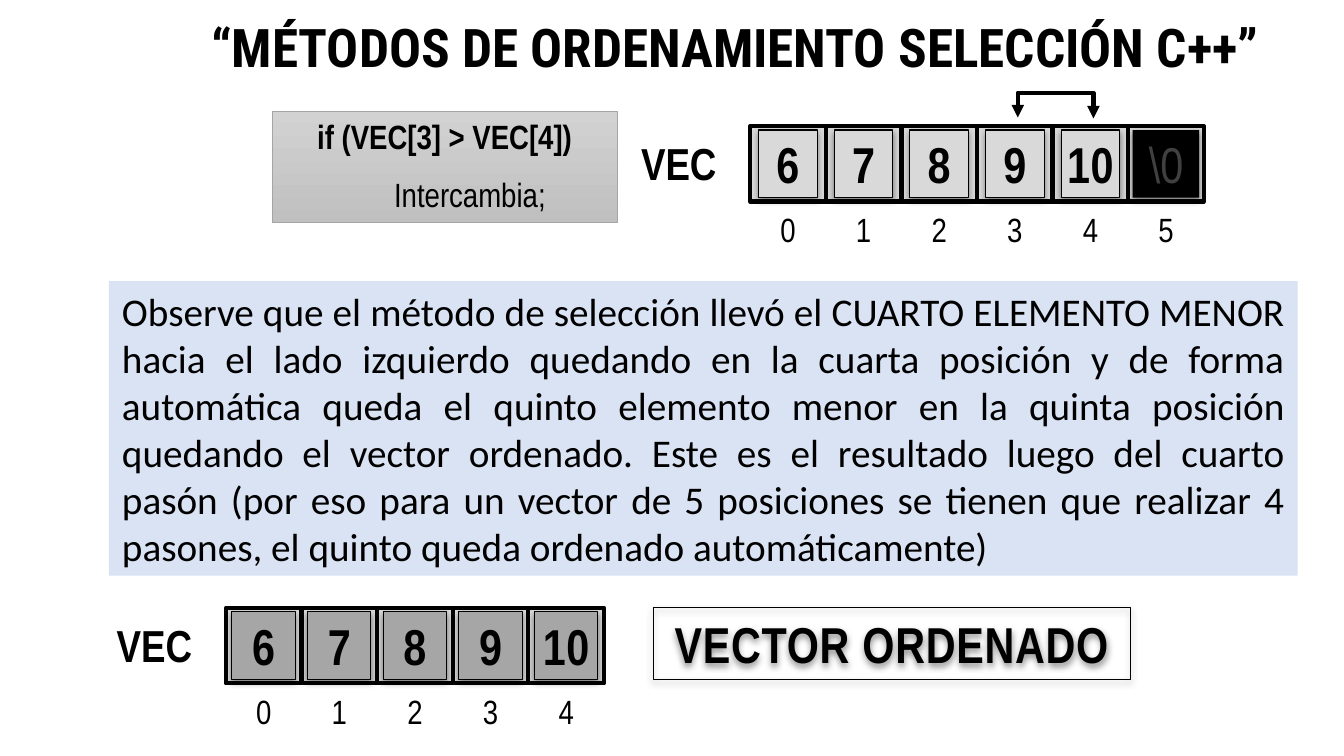
from lxml import etree
from pptx import Presentation
from pptx.dml.color import RGBColor
from pptx.enum.shapes import MSO_CONNECTOR, MSO_SHAPE
from pptx.enum.text import MSO_ANCHOR, PP_ALIGN
from pptx.oxml.ns import qn
from pptx.util import Inches, Pt

RECT, ELBOW = MSO_SHAPE.RECTANGLE, MSO_CONNECTOR.ELBOW
MIDDLE, TOP = MSO_ANCHOR.MIDDLE, MSO_ANCHOR.TOP
LEFT, CENTER, JUSTIFY = PP_ALIGN.LEFT, PP_ALIGN.CENTER, PP_ALIGN.JUSTIFY

BLACK = RGBColor(0x00, 0x00, 0x00)
CHARCOAL = RGBColor(0x40, 0x40, 0x40)
MID_GREY = RGBColor(0xA5, 0xA5, 0xA5)
SORTED_GREY = RGBColor(0xA6, 0xA6, 0xA6)
LIGHT_GREY = RGBColor(0xD9, 0xD9, 0xD9)
GRADIENT = [RGBColor(0xD2, 0xD2, 0xD2), RGBColor(0xC0, 0xC0, 0xC0)]
PALE_BLUE = RGBColor(0xDA, 0xE3, 0xF3)

TITLE = "“MÉTODOS DE ORDENAMIENTO SELECCIÓN C++”"
CODE = ["if (VEC[3] > VEC[4])", "\tIntercambia;"]
EXPLANATION = (
    "Observe que el método de selección llevó el CUARTO ELEMENTO MENOR hacia el lado "
    "izquierdo quedando en la cuarta posición y de forma automática queda el quinto "
    "elemento menor en la quinta posición quedando el vector ordenado. Este es el "
    "resultado luego del cuarto pasón (por eso para un vector de 5 posiciones se tienen "
    "que realizar 4 pasones, el quinto queda ordenado automáticamente)"
)
RESULT = "VECTOR ORDENADO"
END_MARK = r"\0"
VECTORS = [
    {"x": 7.44, "y": 1.25, "values": ["6", "7", "8", "9", "10", END_MARK],
     "tile_w": 0.58, "fill": LIGHT_GREY},
    {"x": 2.24, "y": 6.03, "values": ["6", "7", "8", "9", "10"],
     "tile_w": 0.63, "fill": SORTED_GREY},
]
CELL = 0.75
TILE_H = 0.67

NARROW = {"name": "Arial Narrow", "size": Pt(24), "bold": False}
LABEL = {"name": "Arial Narrow", "size": Pt(32), "bold": True}
VALUE = {"name": "Arial Narrow", "size": Pt(36), "bold": True}

prs = Presentation()
prs.slide_width, prs.slide_height = Inches(13.33), Inches(7.5)
s = prs.slides.add_slide(prs.slide_layouts[5])


def write(p, text, fmt, color=BLACK, align=CENTER, spacing=None):
    p.alignment = align
    r = p.add_run()
    r.text = text
    for key, value in fmt.items():
        setattr(r.font, key, value)
    r.font.color.rgb = color
    if spacing:
        r.font._element.set("spc", str(spacing))


def add_box(x, y, w, h, fill=None, line=None, line_width=0.75):
    sp = s.shapes.add_shape(RECT, Inches(x), Inches(y), Inches(w), Inches(h))
    sp.shadow.inherit = False
    if fill is None:
        sp.fill.background()
    else:
        sp.fill.solid()
        sp.fill.fore_color.rgb = fill
    if line is None:
        sp.line.fill.background()
    else:
        sp.line.color.rgb = line
        sp.line.width = Pt(line_width)
    sp.text_frame.vertical_anchor = MIDDLE
    return sp


def add_shadow(sp):
    effects = sp._element.spPr.find(qn("a:effectLst"))
    shadow = etree.SubElement(effects, qn("a:outerShdw"), blurRad=str(Pt(5)),
                              dist=str(Pt(2)), dir="5400000", algn="t", rotWithShape="0")
    color = etree.SubElement(shadow, qn("a:srgbClr"), val="000000")
    etree.SubElement(color, qn("a:alpha"), val="43000")


def add_plate(x, y, w, h, text, fill=None, line=BLACK, color=BLACK, fmt=VALUE, spacing=50):
    """Draw a shadowed rectangle around one large centred text."""
    sp = add_box(x, y, w, h, fill, line)
    add_shadow(sp)
    sp.text_frame.word_wrap = False
    write(sp.text_frame.paragraphs[0], text, fmt, color, spacing=spacing)


def add_label(x, y, w, h, text, fmt):
    tf = s.shapes.add_textbox(Inches(x), Inches(y), Inches(w), Inches(h)).text_frame
    tf.word_wrap = True
    write(tf.paragraphs[0], text, fmt, align=LEFT)
    return tf


def add_indices(x, y, count):
    """Write the cell numbers on tab stops centred under the cells."""
    text = "".join(f"\t{i}" for i in range(count))
    tf = add_label(x, y, count * CELL, 0.51, text, NARROW)
    tf.margin_left = tf.margin_right = 0
    tabs = etree.SubElement(tf.paragraphs[0]._p.get_or_add_pPr(), qn("a:tabLst"))
    for i in range(count):
        etree.SubElement(tabs, qn("a:tab"), pos=str(Inches((i + 0.5) * CELL)), algn="ctr")


def add_vector(x, y, values, tile_w, fill):
    add_label(x - 1.18, y + 0.05, 1.24, 0.63, "VEC", LABEL)
    for i in range(len(values)):
        add_box(x + i * CELL, y, CELL, CELL, LIGHT_GREY, BLACK, 3)
    for i, value in enumerate(values):
        center = x + (i + 0.5) * CELL
        if value == END_MARK:
            add_plate(center - 0.33, y + 0.04, 0.66, TILE_H, value, BLACK, None,
                      CHARCOAL, {**VALUE, "bold": False}, None)
        else:
            add_plate(center - tile_w / 2, y + 0.04, tile_w, TILE_H, value, fill)
    add_indices(x, y + 0.77, len(values))


def add_swap_arrow(left, right, y, rise):
    """Join two cells from above with a bracket that has an arrowhead at each end."""
    depth = 0.01
    mid, half = (left + right) / 2, (right - left) / 2
    c = s.shapes.add_connector(ELBOW, Inches(mid - depth / 2), Inches(y + half),
                               Inches(mid + depth / 2), Inches(y - half))
    c.line.color.rgb = BLACK
    c.line.width = Pt(3)
    spPr = c._element.spPr
    spPr.find(qn("a:xfrm")).set("rot", "5400000")
    guides = spPr.find(qn("a:prstGeom")).find(qn("a:avLst"))
    etree.SubElement(guides, qn("a:gd"), name="adj1",
                     fmla=f"val {round(-rise / depth * 100000)}")
    ln = spPr.find(qn("a:ln"))
    for end in ("a:headEnd", "a:tailEnd"):
        etree.SubElement(ln, qn(end), type="triangle")
    etree.SubElement(spPr, qn("a:effectLst"))


title = s.shapes.title
title.left, title.top, title.width, title.height = (
    Inches(v) for v in (1.08, 0, 12.43, 1))
title.text_frame.vertical_anchor = MIDDLE
title.text_frame.word_wrap = True
title.text_frame.paragraphs[0].line_spacing = 0.9
write(title.text_frame.paragraphs[0], TITLE,
      {"name": "Roboto Condensed", "size": Pt(38), "bold": True})

for vector in VECTORS:
    add_vector(**vector)

top = VECTORS[0]
add_swap_arrow(top["x"] + 3.5 * CELL + 0.03, top["x"] + 4.5 * CELL + 0.03, 1.17, 0.25)

code = add_box(2.7, 1.1, 3.42, 1.11, LIGHT_GREY, MID_GREY, 0.5)
code.fill.gradient()
code.fill.gradient_angle = 270
for stop, color in zip(code.fill.gradient_stops, GRADIENT):
    stop.color.rgb = color
tf = code.text_frame
tf.vertical_anchor = TOP
write(tf.paragraphs[0], CODE[0], {**NARROW, "bold": True})
p = tf.add_paragraph()
p.space_before = Pt(13)
write(p, CODE[1], NARROW)

tf = add_box(1.08, 2.79, 11.79, 2.92, PALE_BLUE).text_frame
tf.word_wrap = True
for side in ("left", "top", "right", "bottom"):
    setattr(tf, f"margin_{side}", Inches(0.13))
write(tf.paragraphs[0], EXPLANATION, {"name": "Calibri", "size": Pt(28)}, align=JUSTIFY)

add_plate(6.48, 6.03, 4.73, 0.71, RESULT)

prs.save("out.pptx")
